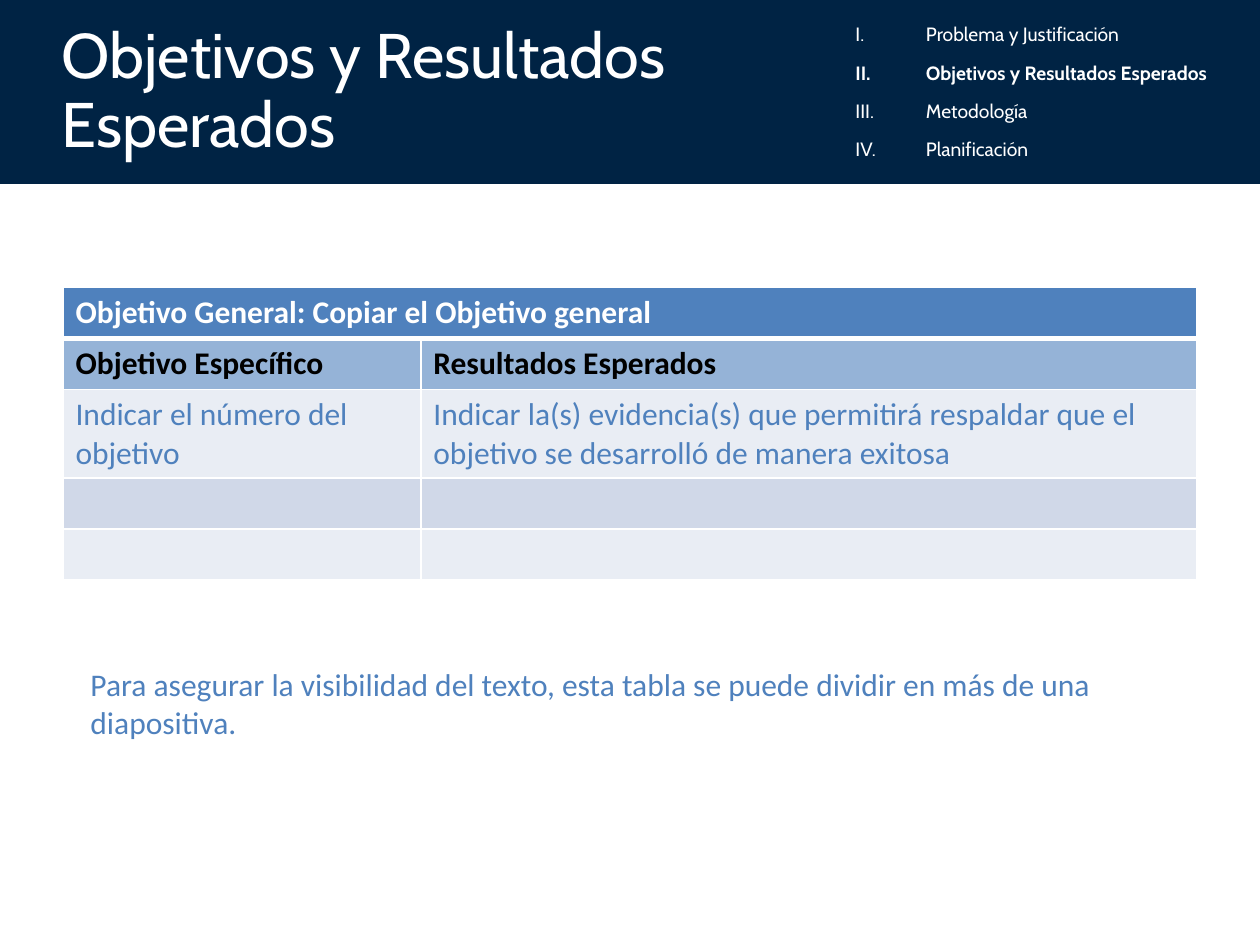
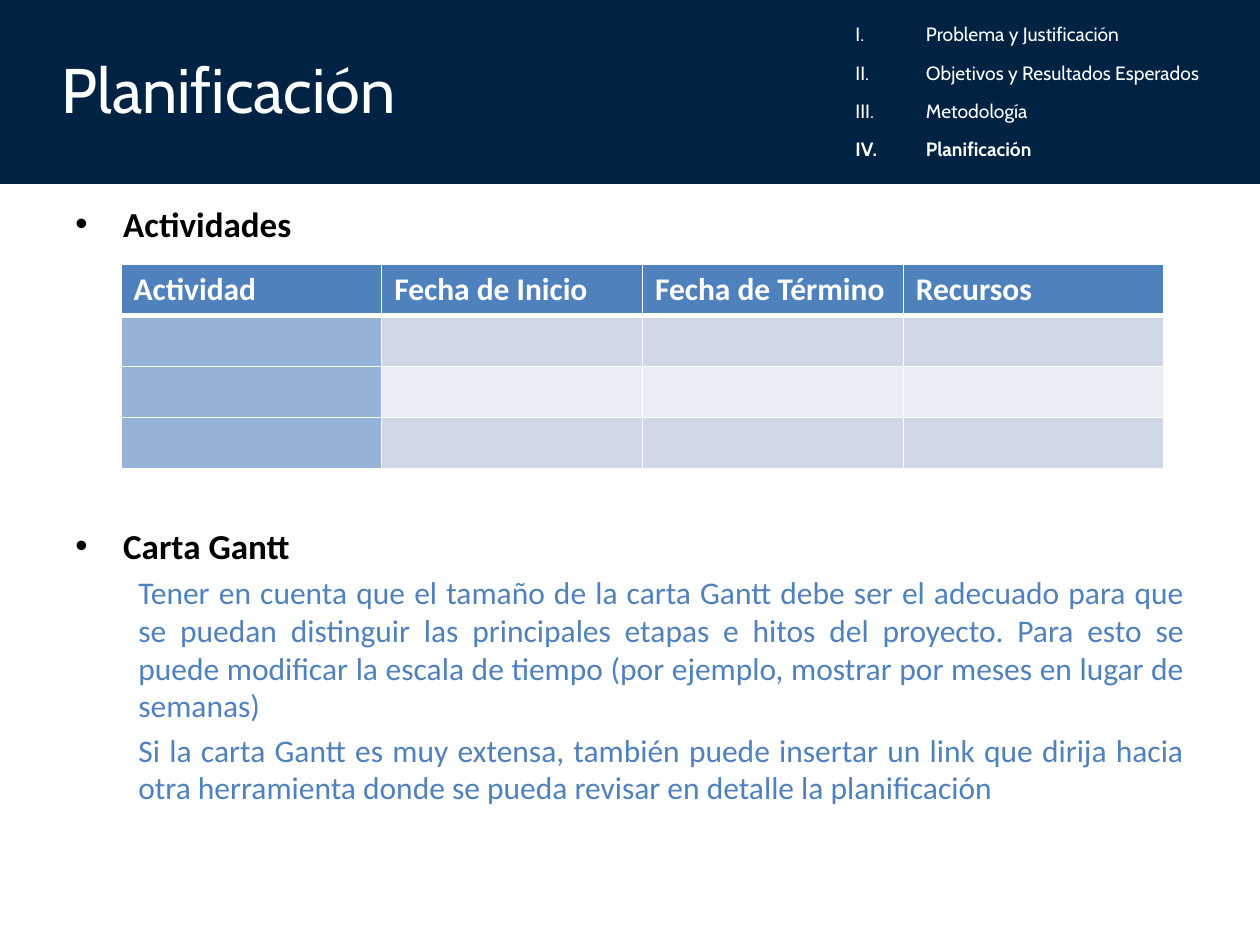
from lxml.etree import SubElement
from pptx import Presentation
from pptx.dml.color import RGBColor
from pptx.enum.shapes import MSO_SHAPE
from pptx.enum.text import MSO_ANCHOR, PP_ALIGN
from pptx.oxml import parse_xml
from pptx.oxml.ns import nsdecls, qn
from pptx.util import Inches, Pt

NAVY = "002344"
BLUE = "4F81BD"
MID_BLUE = "95B3D7"
DARK_STRIPE = "D0D8E8"
LIGHT_STRIPE = "E9EDF4"
WHITE = "FFFFFF"
BLACK = "000000"

TITLE_FONT = "Cabin"
BODY_FONT = "Calibri"
BAND_HEIGHT = 1.46
SECTIONS = [
    "Problema y Justificación",
    "Objetivos y Resultados Esperados",
    "Metodología",
    "Planificación",
]


def rgb(value):
    return RGBColor.from_string(value)


def format_runs(paragraph, font_name, size, color, bold=False):
    for span in paragraph.runs:
        span.font.name = font_name
        span.font.size = Pt(size)
        span.font.color.rgb = rgb(color)
        span.font.bold = bold


def add_text_box(page, left, top, width, height, texts):
    """Add a wrapping text box with one paragraph per text."""
    box = page.shapes.add_textbox(Inches(left), Inches(top), Inches(width), Inches(height))
    box.text_frame.word_wrap = True
    box.text_frame.text = "\n".join(texts)
    return box.text_frame


def set_indent(paragraph, left, first_line=0):
    properties = paragraph._p.get_or_add_pPr()
    properties.set("marL", str(Inches(left)))
    properties.set("indent", str(Inches(first_line)))
    return properties


def add_bullet(paragraph, hanging):
    properties = set_indent(paragraph, hanging, -hanging)
    SubElement(properties, qn("a:buFont"), typeface="Arial")
    SubElement(properties, qn("a:buChar"), char="•")


def add_roman_number(paragraph, hanging):
    properties = set_indent(paragraph, hanging, -hanging)
    SubElement(properties, qn("a:buFont"), typeface=TITLE_FONT)
    SubElement(properties, qn("a:buAutoNum"), type="romanUcPeriod")


def add_band(page):
    band = page.shapes.add_shape(MSO_SHAPE.RECTANGLE, 0, 0, Inches(10), Inches(BAND_HEIGHT))
    band.shadow.inherit = False
    band.fill.solid()
    band.fill.fore_color.rgb = rgb(NAVY)
    band.line.fill.background()


def add_title(page, title):
    frame = add_text_box(page, 0.39, 0.01, 6.67, 1.45, [title])
    frame.vertical_anchor = MSO_ANCHOR.MIDDLE
    frame.paragraphs[0].line_spacing = 0.9
    format_runs(frame.paragraphs[0], TITLE_FONT, 36, WHITE)


def add_section_menu(page, current):
    frame = add_text_box(page, 6.69, 0.15, 3.29, 1.27, SECTIONS)
    for index, paragraph in enumerate(frame.paragraphs):
        paragraph.line_spacing = 0.9
        paragraph.space_before = Pt(10 if index else 0)
        add_roman_number(paragraph, 0.56)
        format_runs(paragraph, TITLE_FONT, 11, WHITE, bold=SECTIONS[index] == current)


def add_page(deck, section):
    """Add a blank page with the band, title and section menu."""
    page = deck.slides.add_slide(deck.slide_layouts[6])
    add_band(page)
    add_title(page, section)
    add_section_menu(page, section)
    return page


def set_borders(cell, top, bottom):
    """Draw white borders; top and bottom widths are in points."""
    properties = cell._tc.get_or_add_tcPr()
    widths = {"lnL": 1, "lnR": 1, "lnT": top, "lnB": bottom}
    for position, (side, width) in enumerate(widths.items()):
        border = parse_xml(
            f'<a:{side} {nsdecls("a")} w="{Pt(width)}"><a:solidFill>'
            f'<a:srgbClr val="{WHITE}"/></a:solidFill></a:{side}>'
        )
        properties.insert(position, border)


def add_grid(page, left, top, height, column_widths, rows, cell_style):
    """Add a table; cell_style(row, column) gives fill, text colour and bold."""
    frame = page.shapes.add_table(
        len(rows), len(column_widths),
        Inches(left), Inches(top), Inches(sum(column_widths)), Inches(height),
    )
    table = frame.table
    for column, width in zip(table.columns, column_widths):
        column.width = Inches(width)
    for row, texts in enumerate(rows):
        for column, text in enumerate(texts):
            cell = table.cell(row, column)
            fill, color, bold = cell_style(row, column)
            cell.fill.solid()
            cell.fill.fore_color.rgb = rgb(fill)
            set_borders(cell, top=3 if row == 1 else 1, bottom=3 if row == 0 else 1)
            if text:
                cell.text_frame.text = text
                format_runs(cell.text_frame.paragraphs[0], BODY_FONT, 18, color, bold)
    return table


def objectives_style(row, column):
    if row == 0:
        return BLUE, WHITE, True
    if row == 1:
        return MID_BLUE, BLACK, True
    return (DARK_STRIPE if row % 2 else LIGHT_STRIPE), BLUE, False


def activities_style(row, column):
    if row == 0:
        return BLUE, WHITE, True
    if column == 0:
        return MID_BLUE, WHITE, True
    return (DARK_STRIPE if row % 2 else LIGHT_STRIPE), BLACK, False


def build_objectives(deck):
    page = add_page(deck, SECTIONS[1])
    rows = [
        ["Objetivo General: Copiar el Objetivo general", ""],
        ["Objetivo Específico", "Resultados Esperados"],
        [
            "Indicar el número del objetivo",
            "Indicar la(s) evidencia(s) que permitirá respaldar que el objetivo "
            "se desarrolló de manera exitosa",
        ],
        ["", ""],
        ["", ""],
    ]
    table = add_grid(page, 0.5, 2.28, 2.03, [2.84, 6.16], rows, objectives_style)
    table.cell(0, 0).merge(table.cell(0, 1))
    note = add_text_box(page, 0.62, 5.23, 8.8, 0.71, [
        "Para asegurar la visibilidad del texto, esta tabla se puede dividir "
        "en más de una diapositiva."
    ])
    format_runs(note.paragraphs[0], BODY_FONT, 18, BLUE)


def build_planning(deck):
    page = add_page(deck, SECTIONS[3])
    body = add_text_box(page, 0.5, 1.56, 9, 4.95, [
        "Actividades",
        "Carta Gantt",
        "Tener en cuenta que el tamaño de la carta Gantt debe ser el adecuado para que "
        "se puedan distinguir las principales etapas e hitos del proyecto. Para esto se "
        "puede modificar la escala de tiempo (por ejemplo, mostrar por meses en lugar de "
        "semanas)",
        "Si la carta Gantt es muy extensa, también puede insertar un link que dirija hacia "
        "otra herramienta donde se pueda revisar en detalle la planificación",
    ])
    activities, gantt, *advice = body.paragraphs
    for heading in (activities, gantt):
        heading.alignment = PP_ALIGN.JUSTIFY
        add_bullet(heading, 0.38)
        format_runs(heading, BODY_FONT, 20, BLACK, bold=True)
    gantt.space_before = Pt(160)
    for paragraph in advice:
        paragraph.alignment = PP_ALIGN.JUSTIFY
        paragraph.space_before = Pt(3.6)
        set_indent(paragraph, 0.5)
        format_runs(paragraph, BODY_FONT, 18, BLUE)

    headers = ["Actividad", "Fecha de Inicio", "Fecha de Término", "Recursos"]
    rows = [headers] + [[""] * len(headers)] * 3
    add_grid(page, 0.96, 2.1, 1.62, [2.07] * len(headers), rows, activities_style)


def main():
    deck = Presentation()
    deck.slide_width = Inches(10)
    deck.slide_height = Inches(7.5)
    build_objectives(deck)
    build_planning(deck)
    deck.save("out.pptx")


if __name__ == "__main__":
    main()
